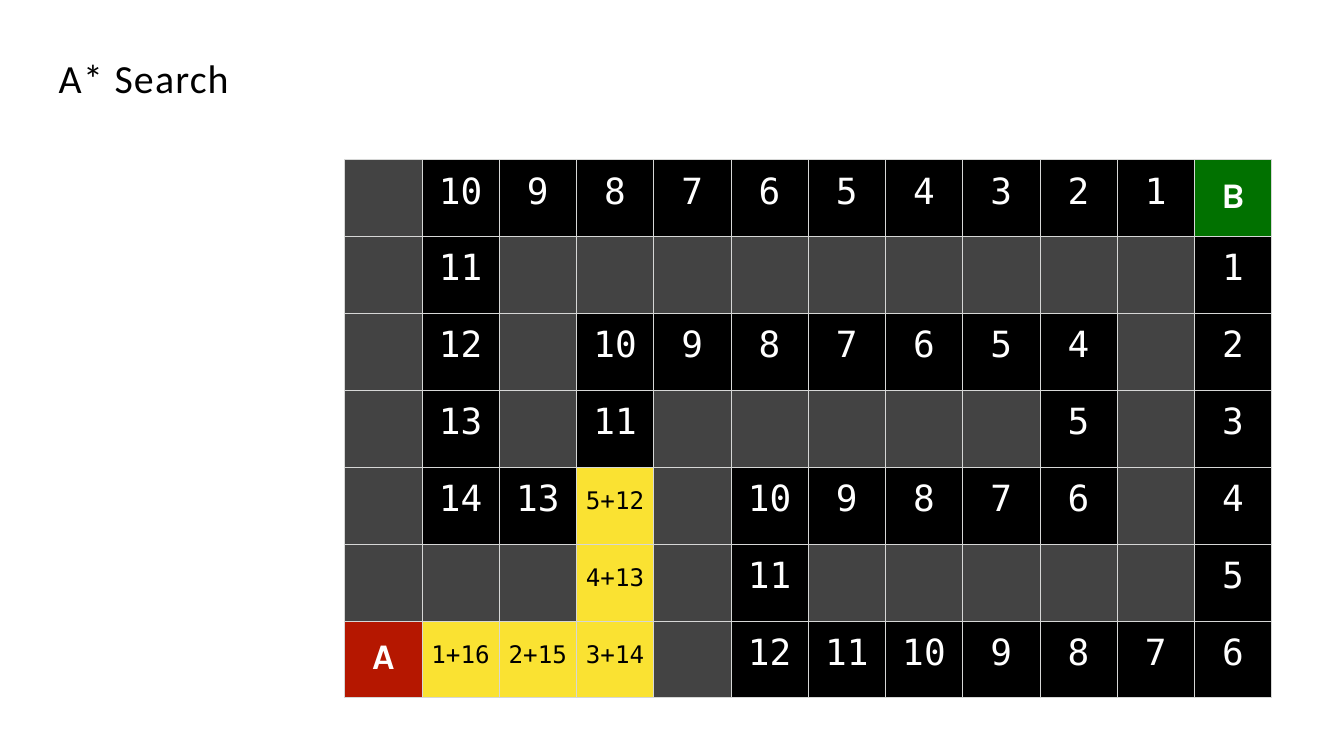
from lxml.etree import SubElement
from pptx import Presentation
from pptx.dml.color import RGBColor
from pptx.enum.text import MSO_ANCHOR, MSO_AUTO_SIZE, PP_ALIGN
from pptx.oxml.ns import qn
from pptx.util import Inches, Pt

MAZE = """
# 10 9 8 7 6 5 4 3 2 1 B
# 11 # # # # # # # # # 1
# 12 # 10 9 8 7 6 5 4 # 2
# 13 # 11 # # # # # 5 # 3
# 14 13 5+12 # 10 9 8 7 6 # 4
# # # 4+13 # 11 # # # # # 5
A 1+16 2+15 3+14 # 12 11 10 9 8 7 6
"""
WALL, OPEN, EXPLORED, START, GOAL = "434343", "000000", "FAE232", "B51700", "017100"
GRID_LINE = "D6D7D6"
MONO = "DejaVu Sans Mono"


def color(hex_code):
    """Turn a hex string into a colour."""
    return RGBColor.from_string(hex_code)


def add_run(paragraph, text, font_name, size, hex_code, spacing, bold=False):
    """Add one formatted run with letter spacing in points."""
    run = paragraph.add_run()
    run.text = text
    font = run.font
    font.name, font.size, font.bold = font_name, Pt(size), bold
    font.color.rgb = color(hex_code)
    font._element.set("spc", str(round(spacing * 100)))


def outline(square):
    """Draw the thin grid line on all four sides of a square."""
    properties = square._tc.get_or_add_tcPr()
    for side in ("a:lnL", "a:lnR", "a:lnT", "a:lnB"):
        line = SubElement(properties, qn(side), w=str(Pt(1)))
        SubElement(SubElement(line, qn("a:solidFill")), qn("a:srgbClr"), val=GRID_LINE)


def fill_square(square, label):
    """Give a maze square the fill and text its label calls for."""
    square.margin_left = square.margin_right = square.margin_bottom = 0
    square.margin_top = Inches(0.18)
    outline(square)
    square.fill.solid()
    if label == "#":
        square.fill.fore_color.rgb = color(WALL)
        return
    paragraph = square.text_frame.paragraphs[0]
    paragraph.alignment = PP_ALIGN.CENTER
    if label in "AB":
        background = START if label == "A" else GOAL
        square.margin_top = Inches(0.26)
        add_run(paragraph, label, "Karla", 42.5, "FFFFFF", 0, bold=True)
    elif "+" in label:
        background = EXPLORED
        square.margin_top = Inches(0.33)
        add_run(paragraph, label, MONO, 28.5, "000000", 0.1)
    else:
        background = OPEN
        add_run(paragraph, label, MONO, 42.5, "FFFFFF", 0.2 if len(label) > 1 else 0)
    square.fill.fore_color.rgb = color(background)


def add_maze(slide, left, top, width, height):
    """Add the maze as a table of equal squares."""
    labels = [row.split() for row in MAZE.strip().splitlines()]
    maze = slide.shapes.add_table(
        len(labels), len(labels[0]),
        Inches(left), Inches(top), Inches(width), Inches(height),
    ).table
    maze.first_row = maze.horz_banding = False
    for row_index, row in enumerate(labels):
        for column_index, label in enumerate(row):
            fill_square(maze.cell(row_index, column_index), label)


def add_title(slide, left, top, width, height):
    """Add the slide title."""
    title = slide.shapes.add_textbox(Inches(left), Inches(top), Inches(width), Inches(height))
    frame = title.text_frame
    frame.word_wrap = True
    frame.auto_size = MSO_AUTO_SIZE.SHAPE_TO_FIT_TEXT
    frame.vertical_anchor = MSO_ANCHOR.MIDDLE
    frame.margin_left = frame.margin_right = frame.margin_bottom = 0
    frame.margin_top = Inches(0.01)
    for text, spacing in (("A* ", 1.5), ("Search", 1.4)):
        add_run(frame.paragraphs[0], text, "Calibri", 47, "000000", spacing)


def main():
    """Build and save the slide."""
    deck = Presentation()
    deck.slide_width, deck.slide_height = Inches(21.99), Inches(12.37)
    slide = deck.slides.add_slide(deck.slide_layouts[6])
    add_maze(slide, 5.64, 2.61, 15.17, 8.81)
    add_title(slide, 0.96, 0.86, 3.15, 0.81)
    deck.save("out.pptx")


if __name__ == "__main__":
    main()
